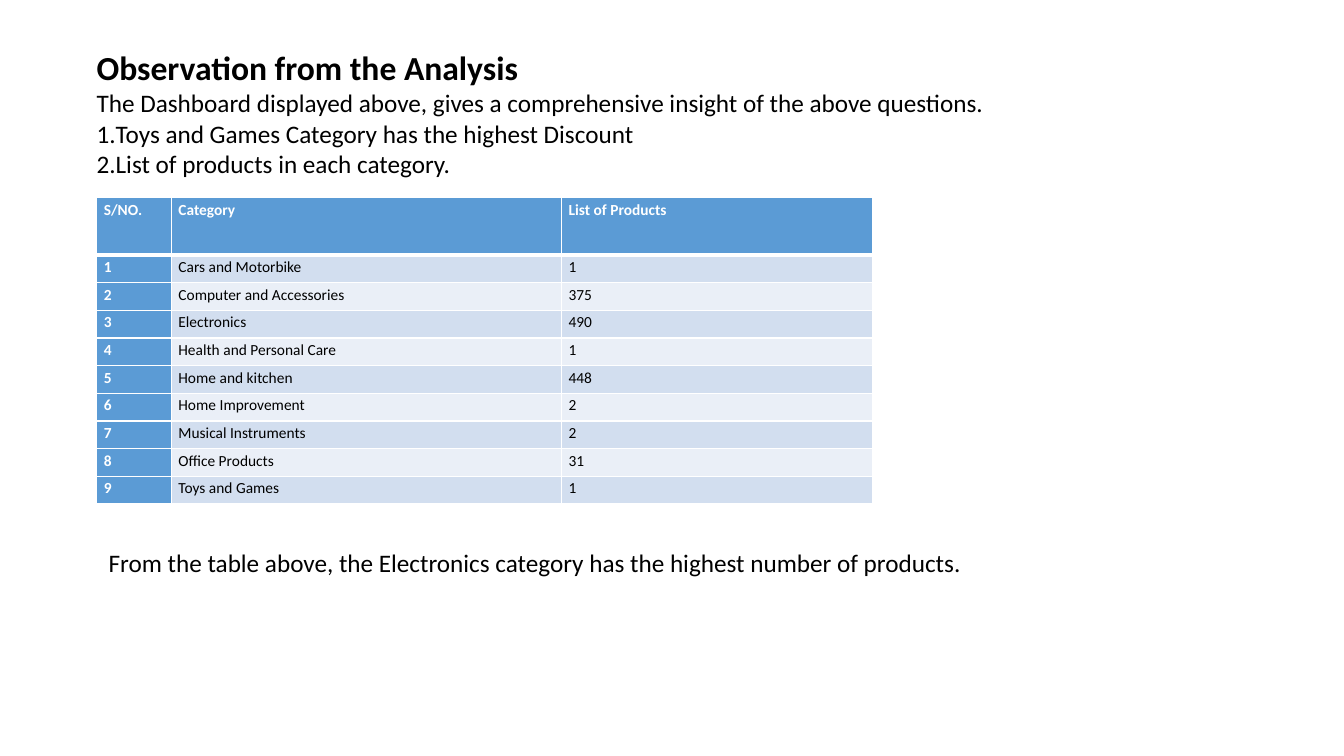
from lxml import etree
from pptx import Presentation
from pptx import util as u
from pptx.dml.color import RGBColor
from pptx.enum import text
from pptx.oxml.ns import qn

FONT = "Calibri"
BLACK = RGBColor(0x00, 0x00, 0x00)
WHITE = RGBColor(0xFF, 0xFF, 0xFF)
BLUE = RGBColor(0x5B, 0x9B, 0xD5)
BANDS = (RGBColor(0xEA, 0xEF, 0xF7), RGBColor(0xD2, 0xDE, 0xEF))

HEADING = "Observation from the Analysis"
INTRO = "The Dashboard displayed above, gives a comprehensive insight of the above questions."
FINDINGS = ["Toys and Games Category has the highest Discount",
            "List of products in each category."]
CONCLUSION = "From the table above, the Electronics category has the highest number of products."

HEADER = ("S/NO.", "Category", "List of Products")
PRODUCTS = [
    ("Cars and Motorbike", 1),
    ("Computer and Accessories", 375),
    ("Electronics", 490),
    ("Health and Personal Care", 1),
    ("Home and kitchen", 448),
    ("Home Improvement", 2),
    ("Musical Instruments", 2),
    ("Office Products", 31),
    ("Toys and Games", 1),
]
COLUMN_WIDTHS = (0.74, 3.87, 3.09)
HEADER_HEIGHT = 0.57


def style_runs(para, size, color=BLACK, bold=False):
    for span in para.runs:
        span.font.name = FONT
        span.font.size = u.Pt(size)
        span.font.bold = bold
        span.font.color.rgb = color


def add_text_box(page, left, top, width, height):
    box = page.shapes.add_textbox(*map(u.Inches, (left, top, width, height)))
    box.text_frame.word_wrap = True
    return box.text_frame


def number_paragraph(para):
    properties = para._p.get_or_add_pPr()
    etree.SubElement(properties, qn("a:buFont"), typeface="+mj-lt")
    etree.SubElement(properties, qn("a:buAutoNum"), type="arabicPeriod")


def add_border(cell, side, points):
    line = etree.SubElement(cell._tc.get_or_add_tcPr(), qn(f"a:ln{side}"),
                            w=str(u.Pt(points)))
    fill = etree.SubElement(line, qn("a:solidFill"))
    etree.SubElement(fill, qn("a:srgbClr"), val=str(WHITE))


def add_observations(page, left, top, width, height):
    frame = add_text_box(page, left, top, width, height)
    frame.margin_top = frame.margin_bottom = 0
    frame.vertical_anchor = text.MSO_ANCHOR.TOP
    frame.text = "\n".join([HEADING, INTRO, *FINDINGS])
    heading, intro, *findings = frame.paragraphs
    style_runs(heading, 24, bold=True)
    for para in findings:
        number_paragraph(para)
    for para in (intro, *findings):
        style_runs(para, 18)


def fill_cell(cell, value, row, column):
    """Header row and number column are blue; the rest is banded."""
    emphasized = row == 0 or column == 0
    cell.margin_left = cell.margin_right = u.Inches(0.07)
    cell.margin_top = cell.margin_bottom = 0
    for side in "LRTB":
        beside_header = (row, side) in ((0, "B"), (1, "T"))
        add_border(cell, side, 3 if beside_header else 1)
    cell.fill.solid()
    cell.fill.fore_color.rgb = BLUE if emphasized else BANDS[row % 2]
    cell.text = str(value)
    para = cell.text_frame.paragraphs[0]
    para.line_spacing = 1.15
    style_runs(para, 11, WHITE if emphasized else BLACK, emphasized)


def add_product_table(page, left, top, width, height):
    rows = [HEADER] + [(number, *product)
                       for number, product in enumerate(PRODUCTS, 1)]
    frame = page.shapes.add_table(len(rows), len(HEADER),
                                  *map(u.Inches, (left, top, width, height)))
    table = frame.table
    for column, column_width in zip(table.columns, COLUMN_WIDTHS):
        column.width = u.Inches(column_width)
    body_height = (height - HEADER_HEIGHT) / len(PRODUCTS)
    for row, values in enumerate(rows):
        table.rows[row].height = u.Inches(body_height if row else HEADER_HEIGHT)
        for column, value in enumerate(values):
            fill_cell(table.cell(row, column), value, row, column)


def add_conclusion(page, left, top, width, height):
    frame = add_text_box(page, left, top, width, height)
    frame.text = CONCLUSION
    para = frame.paragraphs[0]
    para._p.get_or_add_pPr().set("marL", str(u.Inches(0.75)))
    para.line_spacing = 1.15
    para.space_after = u.Pt(10)
    style_runs(para, 18)


def main():
    deck = Presentation()
    deck.slide_width = u.Inches(13.33)
    deck.slide_height = u.Inches(7.5)
    page = deck.slides.add_slide(deck.slide_layouts[6])
    add_product_table(page, 0.96, 1.96, 7.7, 3.04)
    add_observations(page, 0.86, 0.47, 12.07, 1.62)
    add_conclusion(page, 0.23, 5.34, 10.04, 0.45)
    deck.save("out.pptx")


if __name__ == "__main__":
    main()
